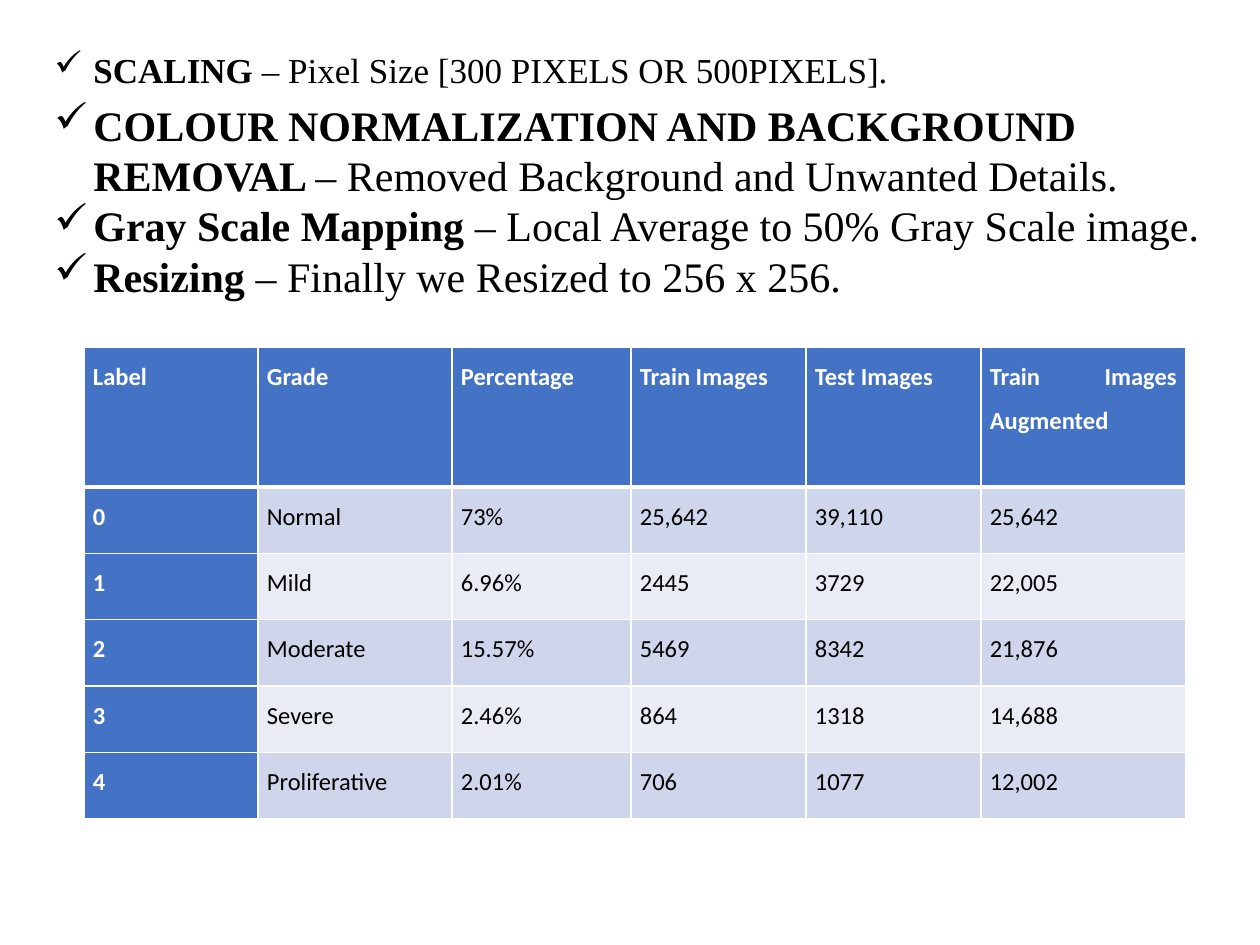
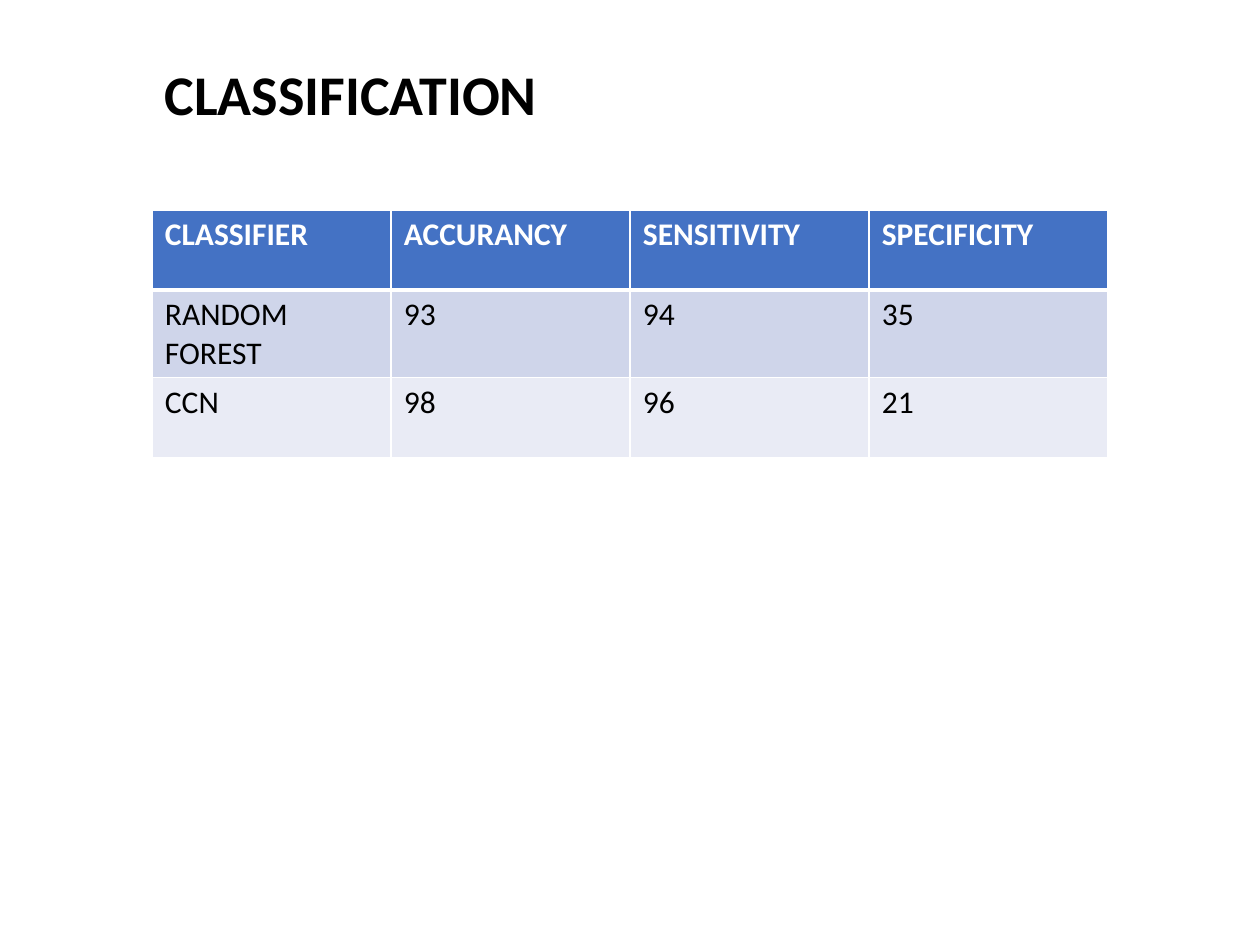
from collections import namedtuple

from lxml.etree import SubElement
from pptx import Presentation
from pptx.dml.color import RGBColor as Rgb
from pptx.enum.text import MSO_ANCHOR as Anchor, MSO_AUTO_SIZE as AutoSize, PP_ALIGN as Align
from pptx.oxml.ns import qn
from pptx.util import Emu, Pt

Box = namedtuple("Box", "left top width height")
TableStyle = namedtuple("TableStyle", "size inset_x inset_y align line_spacing space_after label_column")

EMU_PER_PX = 914400 / 126
COLORS = {
    "ink": "000000",
    "paper": "FFFFFF",
    "accent": "4472C4",
    "band_dark": "CFD5EA",
    "band_light": "E9EBF5",
}
BODY_FONT = "Calibri"
LIST_FONT = "Times New Roman"
BULLET_INDENT = 39

SCALING_STEP = [("SCALING", " – Pixel Size [300 PIXELS OR 500PIXELS].")]
LATER_STEPS = [
    ("COLOUR NORMALIZATION AND BACKGROUND REMOVAL ", "– Removed Background and Unwanted Details."),
    ("Gray Scale Mapping ", "– Local Average to 50% Gray Scale image."),
    ("Resizing ", "– Finally we Resized to 256 x 256."),
]
GRADE_ROWS = [
    ("Label", "Grade", "Percentage", "Train Images", "Test Images", "Train Images Augmented"),
    ("0", "Normal", "73%", "25,642", "39,110", "25,642"),
    ("1", "Mild", "6.96%", "2445", "3729", "22,005"),
    ("2", "Moderate", "15.57%", "5469", "8342", "21,876"),
    ("3", "Severe", "2.46%", "864", "1318", "14,688"),
    ("4", "Proliferative", "2.01%", "706", "1077", "12,002"),
]
CLASSIFIER_ROWS = [
    ("CLASSIFIER", "ACCURANCY", "SENSITIVITY", "SPECIFICITY"),
    ("RANDOM FOREST", "93", "94", "35"),
    ("CCN", "98", "96", "21"),
]
GRADE_STYLE = TableStyle(14, 9, 0, Align.JUSTIFY, 1.5, 10, True)
CLASSIFIER_STYLE = TableStyle(18, 13, 6, Align.LEFT, 1.0, 0, False)


def px(length):
    """Turn px into EMU."""
    return Emu(round(length * EMU_PER_PX))


def style_font(font, name, size, color, bold=None):
    """Set the face, size, colour and weight of a font."""
    font.name = name
    font.size = Pt(size)
    font.color.rgb = Rgb.from_string(COLORS[color])
    font.bold = bold


def add_checklist(page, box, items, size):
    """Add ticked paragraphs, each a bold term and its explanation."""
    frame = page.shapes.add_textbox(*map(px, box)).text_frame
    frame.word_wrap = True
    frame.auto_size = AutoSize.SHAPE_TO_FIT_TEXT
    for index, (term, detail) in enumerate(items):
        para = frame.add_paragraph() if index else frame.paragraphs[0]
        props = para._p.get_or_add_pPr()
        props.set("marL", str(px(BULLET_INDENT)))
        props.set("indent", str(-px(BULLET_INDENT)))
        SubElement(props, qn("a:buChar"), char="✓")
        style_font(para.font, LIST_FONT, size, "ink")
        for text, bold in ((term, True), (detail, False)):
            span = para.add_run()
            span.text = text
            span.font.bold = bold


def set_borders(cell, top, bottom):
    """Draw white cell borders, with top and bottom widths in points."""
    props = cell._tc.get_or_add_tcPr()
    sides = (("lnL", 1), ("lnR", 1), ("lnT", top), ("lnB", bottom))
    for index, (side, width) in enumerate(sides):
        line = SubElement(props, qn(f"a:{side}"), w=str(Pt(width)))
        fill = SubElement(line, qn("a:solidFill"))
        SubElement(fill, qn("a:srgbClr"), val=COLORS["paper"])
        props.insert(index, line)


def fill_cell(cell, text, row, is_label, style):
    """Write one table cell with its band colour and borders."""
    band = "band_dark" if row % 2 else "band_light"
    cell.fill.solid()
    cell.fill.fore_color.rgb = Rgb.from_string(COLORS["accent" if is_label else band])
    set_borders(cell, 3 if row == 1 else 1, 3 if row == 0 else 1)
    cell.margin_left = cell.margin_right = px(style.inset_x)
    cell.margin_top = cell.margin_bottom = px(style.inset_y)
    cell.text = text
    para = cell.text_frame.paragraphs[0]
    para.alignment = style.align
    para.line_spacing = style.line_spacing
    para.space_after = Pt(style.space_after)
    style_font(para.font, BODY_FONT, style.size, "paper" if is_label else "ink", is_label)


def add_banded_table(page, box, rows, widths, header_height, style):
    """Add a table whose body rows share the height below the header."""
    table = page.shapes.add_table(len(rows), len(widths), *map(px, box)).table
    table.horz_banding = False
    table.first_col = style.label_column
    for column, width in zip(table.columns, widths):
        column.width = px(width)
    body_height = px(box.height - header_height) // (len(rows) - 1)
    for row, texts in enumerate(rows):
        table.rows[row].height = Emu(body_height) if row else px(header_height)
        for col, text in enumerate(texts):
            is_label = row == 0 or (style.label_column and col == 0)
            fill_cell(table.cell(row, col), text, row, is_label, style)


def place_title(page, box, text):
    """Move and format the title placeholder."""
    title = page.shapes.title
    title.left, title.top, title.width, title.height = map(px, box)
    frame = title.text_frame
    frame.text = text
    frame.word_wrap = True
    frame.auto_size = AutoSize.SHAPE_TO_FIT_TEXT
    frame.vertical_anchor = Anchor.TOP
    para = frame.paragraphs[0]
    para.alignment = Align.LEFT
    style_font(para.font, BODY_FONT, 32, "ink", True)


def build_preprocessing(deck):
    """Build the slide of preprocessing steps and image counts."""
    page = deck.slides.add_slide(deck.slide_layouts[6])
    add_checklist(page, Box(42, 42, 892, 55), SCALING_STEP, 20)
    add_checklist(page, Box(42, 93, 1187, 217), LATER_STEPS, 24)
    widths = (174, 194, 179, 175, 175, 205)
    add_banded_table(page, Box(84, 347, sum(widths), 472), GRADE_ROWS, widths, 140, GRADE_STYLE)


def build_classification(deck):
    """Build the slide that compares the classifiers."""
    page = deck.slides.add_slide(deck.slide_layouts[5])
    place_title(page, Box(152, 53, 804, 81), "CLASSIFICATION")
    widths = [239] * 4
    add_banded_table(page, Box(152, 210, sum(widths), 240), CLASSIFIER_ROWS, widths, 80, CLASSIFIER_STYLE)


def main():
    """Build and save the deck."""
    deck = Presentation()
    deck.slide_width, deck.slide_height = px(1260), px(945)
    build_preprocessing(deck)
    build_classification(deck)
    deck.save("out.pptx")


if __name__ == "__main__":
    main()
